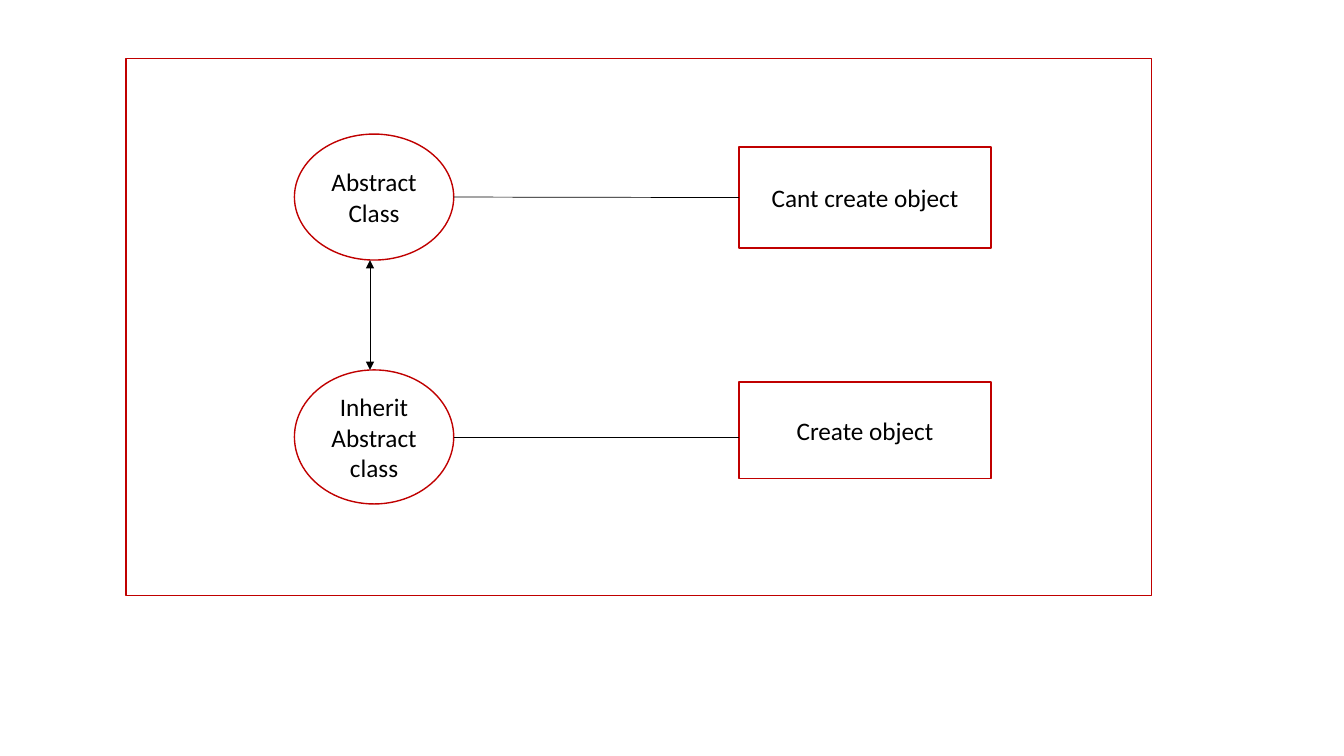
from dataclasses import dataclass

from lxml import etree
from pptx import Presentation
from pptx.dml.color import RGBColor
from pptx.enum import shapes, text
from pptx.oxml import ns
from pptx.util import Inches, Pt


@dataclass(frozen=True)
class Theme:
    outline: RGBColor = RGBColor(0xC0, 0x00, 0x00)
    ink: RGBColor = RGBColor(0x00, 0x00, 0x00)
    paper: RGBColor = RGBColor(0xFF, 0xFF, 0xFF)
    font: str = "Calibri"
    text_size: Pt = Pt(18)
    outline_width: Pt = Pt(1)
    link_width: Pt = Pt(0.5)


@dataclass(frozen=True)
class Row:
    class_label: str
    class_top: float
    class_height: float
    object_label: str
    object_top: float
    object_height: float


THEME = Theme()
RECTANGLE = shapes.MSO_SHAPE.RECTANGLE
OVAL = shapes.MSO_SHAPE.OVAL

# Offsets inside the frame, in inches
CLASS_LEFT, CLASS_WIDTH = 1.67, 1.58
OBJECT_LEFT, OBJECT_WIDTH = 6.08, 2.5
INHERITANCE_LEFT = 2.42
ROWS = (
    Row("Abstract Class", 0.75, 1.25, "Cant create object", 0.88, 1),
    Row("Inherit Abstract class", 3.09, 1.33, "Create object", 3.21, 0.96),
)


def add_node(page, kind, left, top, width, height, label=""):
    node = page.shapes.add_shape(
        kind, Inches(left), Inches(top), Inches(width), Inches(height))
    node.shadow.inherit = False
    node.fill.solid()
    node.fill.fore_color.rgb = THEME.paper
    node.line.color.rgb = THEME.outline
    node.line.width = THEME.outline_width
    if label:
        frame = node.text_frame
        frame.word_wrap = True
        frame.vertical_anchor = text.MSO_ANCHOR.MIDDLE
        frame.text = label
        para = frame.paragraphs[0]
        para.alignment = text.PP_ALIGN.CENTER
        font = para.runs[0].font
        font.name = THEME.font
        font.size = THEME.text_size
        font.color.rgb = THEME.ink
    return node


def add_link(page, start, end, arrows=False):
    link = page.shapes.add_connector(
        shapes.MSO_CONNECTOR.STRAIGHT, *map(Inches, start + end))
    link.line.color.rgb = THEME.ink
    link.line.width = THEME.link_width
    if arrows:
        outline = link.line._get_or_add_ln()
        for tag in ("a:headEnd", "a:tailEnd"):
            etree.SubElement(outline, ns.qn(tag), type="triangle")
    etree.SubElement(link._element.spPr, ns.qn("a:effectLst"))
    return link


def add_row(page, left, top, row):
    """Draw a class oval, its object box and the line between them."""
    class_top, object_top = top + row.class_top, top + row.object_top
    add_node(page, OVAL, left + CLASS_LEFT, class_top,
             CLASS_WIDTH, row.class_height, row.class_label)
    object_box = add_node(page, RECTANGLE, left + OBJECT_LEFT, object_top,
                          OBJECT_WIDTH, row.object_height, row.object_label)
    middle = class_top + row.class_height / 2
    link = add_link(page, (left + CLASS_LEFT + CLASS_WIDTH, middle),
                    (left + OBJECT_LEFT, middle))
    if abs(middle - object_top - row.object_height / 2) < 0.02:
        link.end_connect(object_box, 1)


def add_class_diagram(page, left, top, width, height):
    add_node(page, RECTANGLE, left, top, width, height)
    for row in ROWS:
        add_row(page, left, top, row)
    parent, child = ROWS
    inheritance = left + INHERITANCE_LEFT
    add_link(page, (inheritance, top + child.class_top),
             (inheritance, top + parent.class_top + parent.class_height),
             arrows=True)


def main():
    deck = Presentation()
    deck.slide_width, deck.slide_height = Inches(13.33), Inches(7.5)
    page = deck.slides.add_slide(deck.slide_layouts[6])
    add_class_diagram(page, 1.25, 0.58, 10.17, 5.33)
    deck.save("out.pptx")


if __name__ == "__main__":
    main()
